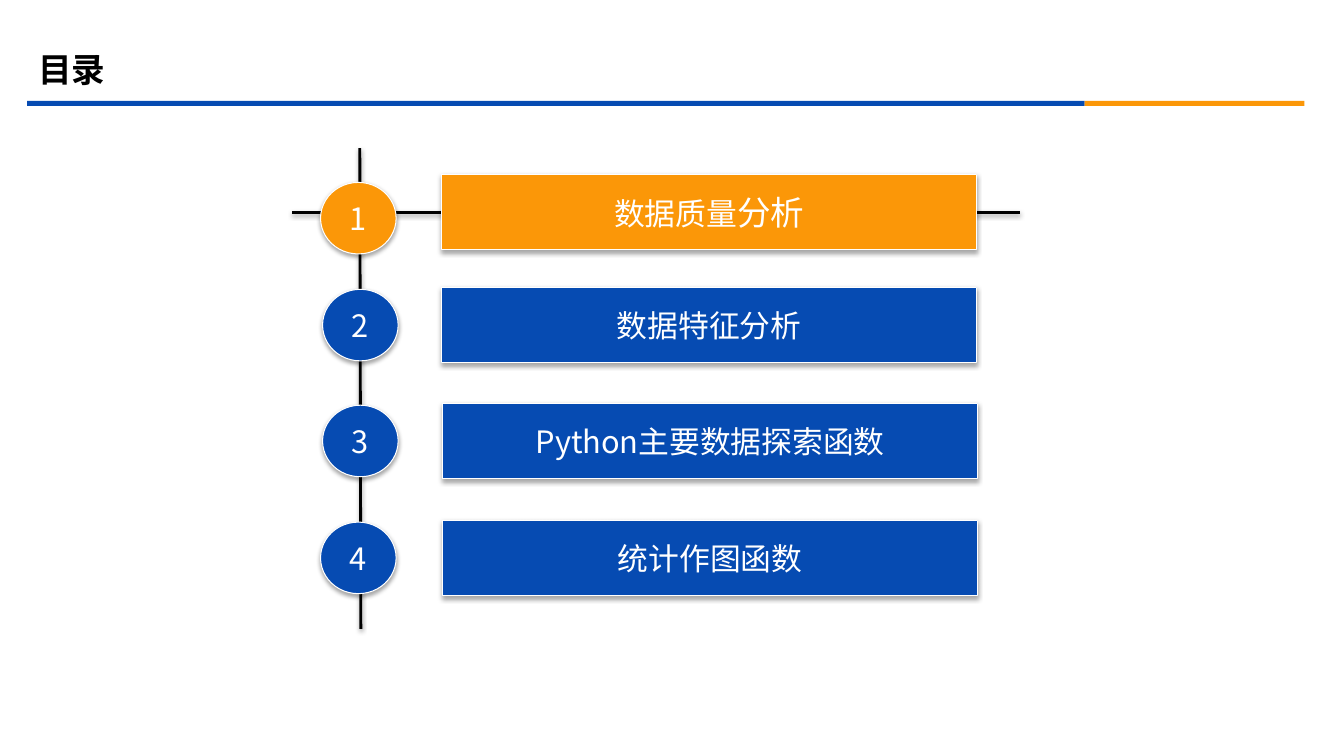
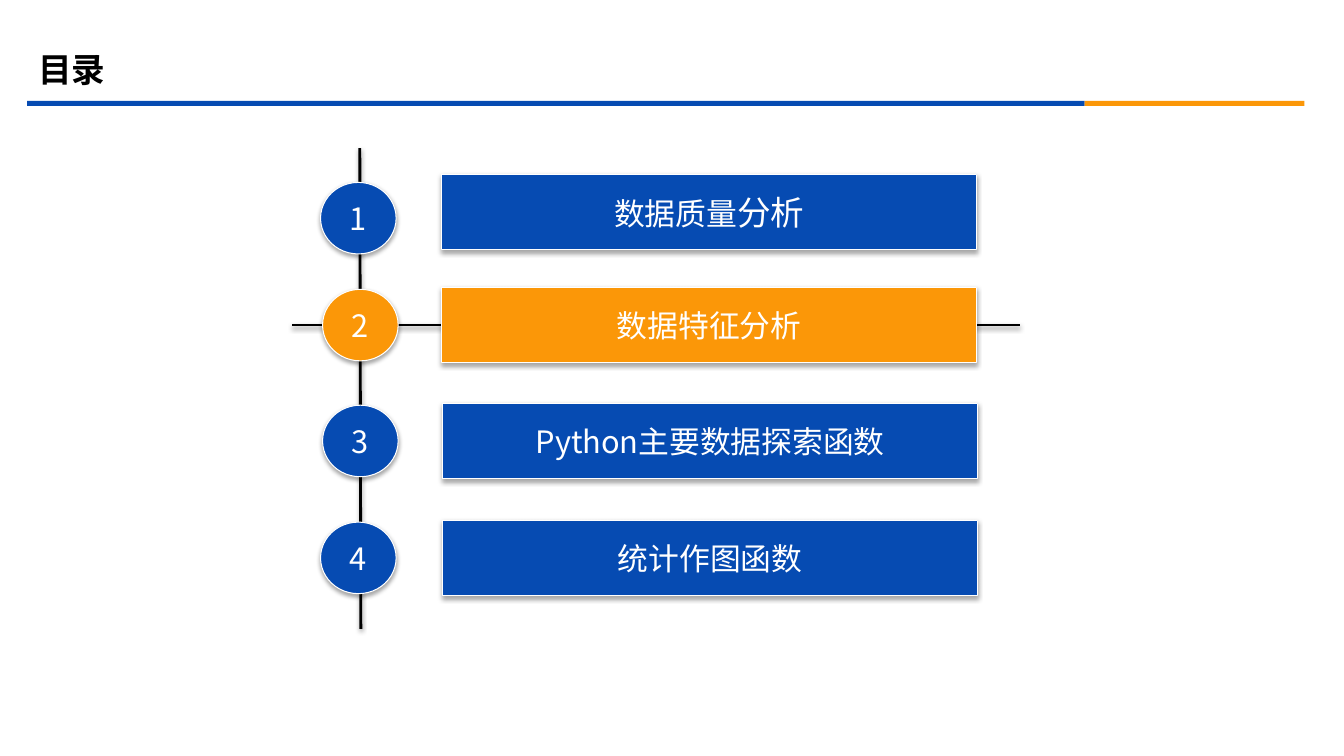
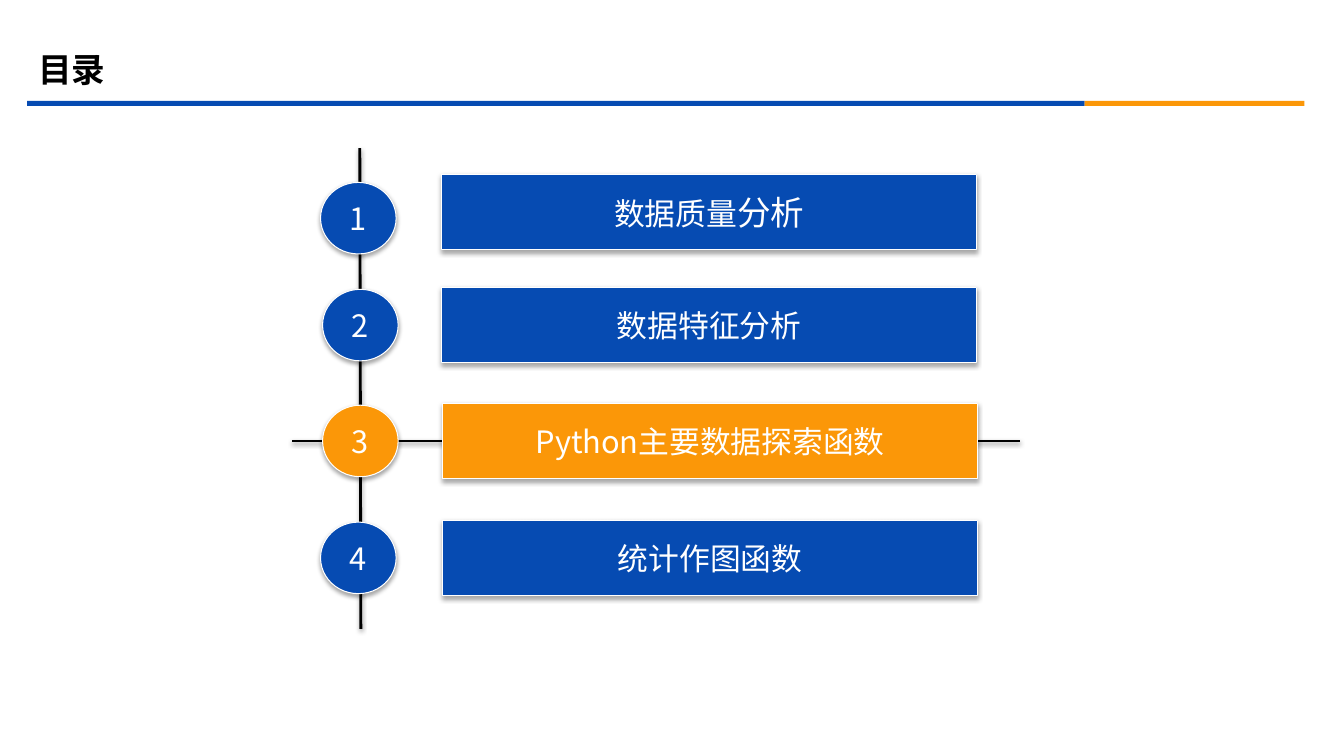
from dataclasses import dataclass
from typing import Any

from lxml import etree
from pptx import Presentation
from pptx.dml.color import RGBColor
from pptx.enum.shapes import MSO_CONNECTOR, MSO_SHAPE
from pptx.enum.text import MSO_ANCHOR, PP_ALIGN
from pptx.oxml.ns import qn
from pptx.util import Pt

RECTANGLE, OVAL = MSO_SHAPE.RECTANGLE, MSO_SHAPE.OVAL
BUTTON = MSO_SHAPE.ACTION_BUTTON_CUSTOM
STRAIGHT = MSO_CONNECTOR.STRAIGHT
MIDDLE = MSO_ANCHOR.MIDDLE
LEFT, CENTER = PP_ALIGN.LEFT, PP_ALIGN.CENTER
BLANK_LAYOUT = 6


@dataclass(frozen=True)
class Theme:
    blue: RGBColor = RGBColor.from_string("064BB2")
    orange: RGBColor = RGBColor.from_string("FB9708")
    black: RGBColor = RGBColor.from_string("000000")
    white: RGBColor = RGBColor.from_string("FFFFFF")
    font: str = "Noto Sans CJK SC"
    title_size: float = 24
    entry_size: float = 22
    outline: float = 0.75
    axis_width: float = 2
    shadow_blur: float = 3.15
    shape_shadow: tuple = (1.8, 35)  # distance in points, opacity in percent
    line_shadow: tuple = (1.57, 38)


@dataclass
class Deck:
    prs: Any
    theme: Theme
    slide: Any = None

    def new_slide(self, title):
        """Start a slide with the shared title and two-colour rule."""
        theme = self.theme
        self.slide = self.prs.slides.add_slide(self.prs.slide_layouts[BLANK_LAYOUT])
        self.band(19.44, 755.28, theme.blue)
        self.band(774.72, 156.96, theme.orange)
        box = self.slide.shapes.add_textbox(Pt(20.16), Pt(28.08), Pt(864), Pt(41.76))
        self.set_text(box, [(title, theme.title_size)], theme.black, LEFT, bold=True, wrap=True)

    def band(self, left, width, color):
        self.shape(RECTANGLE, (left, 72, width, 3.6), color).line.fill.background()

    def shape(self, preset, bounds, color):
        shape = self.slide.shapes.add_shape(preset, *map(Pt, bounds))
        shape.shadow.inherit = False
        shape.fill.solid()
        shape.fill.fore_color.rgb = color
        return shape

    def entry(self, preset, bounds, color, runs):
        """Add an outlined, shadowed shape with centred text."""
        shape = self.shape(preset, bounds, color)
        shape.line.color.rgb = self.theme.white
        shape.line.width = Pt(self.theme.outline)
        self.shadow(shape, *self.theme.shape_shadow)
        self.set_text(shape, runs, self.theme.white, CENTER)

    def axis(self, *ends):
        line = self.slide.shapes.add_connector(STRAIGHT, *map(Pt, ends))
        line.line.color.rgb = self.theme.black
        line.line.width = Pt(self.theme.axis_width)
        self.shadow(line, *self.theme.line_shadow)

    def shadow(self, element, distance, opacity):
        properties = element._element.spPr
        effects = properties.find(qn("a:effectLst"))
        if effects is None:
            effects = etree.SubElement(properties, qn("a:effectLst"))
        outer = etree.SubElement(
            effects, qn("a:outerShdw"), blurRad=str(Pt(self.theme.shadow_blur)),
            dist=str(Pt(distance)), dir="5400000", rotWithShape="0")
        color = etree.SubElement(outer, qn("a:srgbClr"), val=str(self.theme.black))
        etree.SubElement(color, qn("a:alpha"), val=str(opacity * 1000))

    def set_text(self, shape, runs, color, align, bold=False, wrap=False):
        frame = shape.text_frame
        frame.word_wrap, frame.vertical_anchor = wrap, MIDDLE
        paragraph = frame.paragraphs[0]
        paragraph.alignment = align
        for text, size in runs:
            run = paragraph.add_run()
            run.text = text
            formats = {"size": Pt(size), "bold": bold, "name": self.theme.font}
            for name, value in formats.items():
                setattr(run.font, name, value)
            run.font.color.rgb = color
            # East Asian characters take their own typeface
            etree.SubElement(run._r.get_or_add_rPr(), qn("a:ea"), typeface=self.theme.font)


theme = Theme()
prs = Presentation()
prs.slide_width, prs.slide_height = Pt(960), Pt(540)
deck = Deck(prs, theme)

# Agenda: number position, bar position, text runs
size = theme.entry_size
NUMBER_SIZE = (54, 51.12)
BAR_SIZE = (382.32, 54)
agenda = [
    ((228.96, 130.32), (315.36, 124.56), [("数据质量", size), ("分析", theme.title_size)]),
    ((230.4, 206.64), (315.36, 205.2), [("数据特征分析", size)]),
    ((230.4, 289.44), (316.08, 288), [("Python主要数据探索函数", size)]),
    ((228.96, 372.96), (316.08, 371.52), [("统计作图函数", size)]),
]

# One slide for each current section
for current in (1, 2, 3):
    deck.new_slide("目录")

    # Vertical axis, and a cross line through the current entry
    deck.axis(257.04, 105.84, 257.76, 449.28)
    current_top = agenda[current - 1][1][1]
    cross_y = current_top + BAR_SIZE[1] / 2
    deck.axis(208.8, cross_y, 728.64, cross_y)

    # Numbered entries
    for number, (number_at, bar_at, topic) in enumerate(agenda, start=1):
        color = theme.orange if number == current else theme.blue
        deck.entry(OVAL, number_at + NUMBER_SIZE, color, [(str(number), size)])
        deck.entry(BUTTON, bar_at + BAR_SIZE, color, topic)

prs.save("out.pptx")
